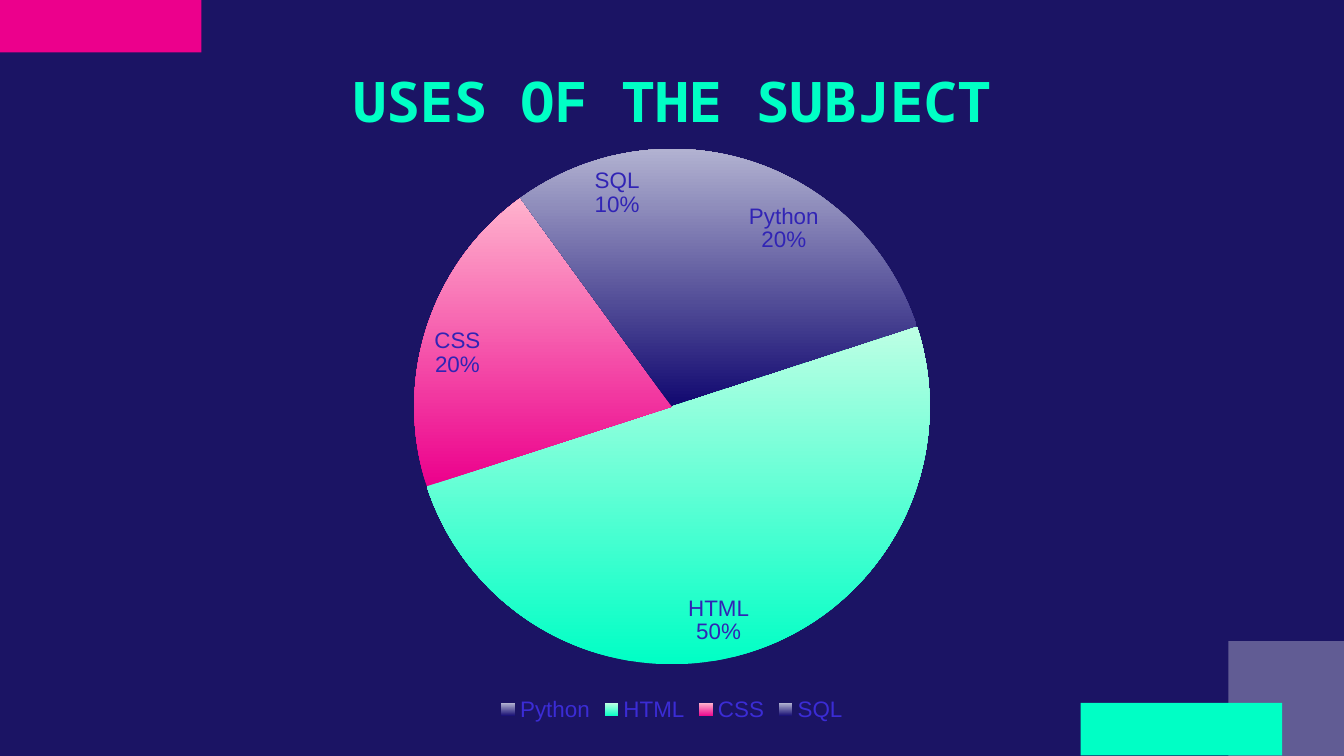
from dataclasses import dataclass

from lxml.etree import SubElement
from pptx import Presentation
from pptx.chart.data import CategoryChartData
from pptx.dml.color import RGBColor
from pptx.enum.chart import XL_CHART_TYPE, XL_LABEL_POSITION, XL_LEGEND_POSITION
from pptx.enum.shapes import MSO_SHAPE
from pptx.enum.text import MSO_ANCHOR, PP_ALIGN
from pptx.oxml.ns import qn
from pptx.util import Inches, Pt


@dataclass(frozen=True)
class Theme:
    background: str = "1B1464"
    pink: str = "EC008C"
    mint: str = "00FFC5"
    white: str = "FFFFFF"
    navy: str = "110870"
    pale_navy: str = "B2B2D1"
    pale_mint: str = "BDFFE4"
    pale_pink: str = "FFB3CD"
    label: str = "3124B5"
    legend: str = "3B2CD5"
    title_font: str = "Noto Sans Mono"
    chart_font: str = "Arial"
    title_size: int = 30
    chart_size: int = 10
    label_size: int = 12


def set_attributes(target, values):
    for name, value in values.items():
        setattr(target, name, value)


def style_font(font, name, size, color, bold=False):
    set_attributes(font, {"name": name, "size": Pt(size), "bold": bold})
    font.color.rgb = RGBColor.from_string(color)


class SlideBuilder:
    def __init__(self, slide, theme):
        self.slide = slide
        self.theme = theme

    def background(self):
        fill = self.slide.background.fill
        fill.solid()
        fill.fore_color.rgb = RGBColor.from_string(self.theme.background)

    def block(self, box, color, opacity=100):
        shape = self.slide.shapes.add_shape(MSO_SHAPE.RECTANGLE, *map(Inches, box))
        shape.shadow.inherit = False
        shape.line.fill.background()
        shape.fill.solid()
        shape.fill.fore_color.rgb = RGBColor.from_string(color)
        if opacity < 100:
            color_element = next(shape.element.spPr.iter(qn("a:srgbClr")))
            SubElement(color_element, qn("a:alpha"), val=str(opacity * 1000))

    def title(self, box, text):
        frame = self.slide.shapes.add_textbox(*map(Inches, box)).text_frame
        set_attributes(frame, {"word_wrap": True, "vertical_anchor": MSO_ANCHOR.MIDDLE,
                               "margin_left": Inches(0.1), "margin_right": Inches(0.1),
                               "margin_top": Inches(0.07), "margin_bottom": Inches(0.07)})
        paragraph = frame.paragraphs[0]
        paragraph.alignment = PP_ALIGN.CENTER
        run = paragraph.add_run()
        run.text = text
        style_font(run.font, self.theme.title_font, self.theme.title_size,
                   self.theme.mint, True)

    def pie(self, box, slices):
        theme = self.theme
        data = CategoryChartData()
        data.categories = [name for name, *_ in slices]
        data.add_series("Series 1", [value for _, value, *_ in slices])
        chart = self.slide.shapes.add_chart(
            XL_CHART_TYPE.PIE, *map(Inches, box), data).chart
        set_attributes(chart, {"has_title": False, "has_legend": True})
        style_font(chart.font, theme.chart_font, theme.chart_size, theme.background)
        set_attributes(chart.legend, {"position": XL_LEGEND_POSITION.BOTTOM,
                                      "include_in_layout": False})
        style_font(chart.legend.font, theme.chart_font, theme.label_size, theme.legend)
        plot = chart.plots[0]
        plot.vary_by_categories = True
        series = plot.series[0]
        for index, (_, _, *colors) in enumerate(slices):
            point_format = series.points[index].format
            point_format.line.fill.background()
            fill = point_format.fill
            fill.gradient()
            fill.gradient_angle = 90
            for stop, color in zip(fill.gradient_stops, colors):
                stop.color.rgb = RGBColor.from_string(color)
        self.pie_labels(series.data_labels)

    def pie_labels(self, labels):
        set_attributes(labels, {"show_percentage": True, "show_category_name": True,
                                "show_value": False, "show_legend_key": False,
                                "number_format": "0%", "number_format_is_linked": False,
                                "position": XL_LABEL_POSITION.INSIDE_END})
        style_font(labels.font, self.theme.chart_font, self.theme.label_size,
                   self.theme.label)
        element = labels._element
        separator = SubElement(element, qn("c:separator"))
        separator.text = "\n"
        element.find(qn("c:showBubbleSize")).addnext(separator)


theme = Theme()
presentation = Presentation()
slide_width = Inches(10)
set_attributes(presentation, {"slide_width": slide_width,
                              "slide_height": slide_width * 9 // 16})
builder = SlideBuilder(
    presentation.slides.add_slide(presentation.slide_layouts[6]), theme)

builder.background()
builder.block((0, 0, 1.5, 0.39), theme.pink)
builder.block((9.14, 4.77, 0.86, 0.86), theme.white, 31)
builder.block((8.04, 5.23, 1.5, 0.39), theme.mint)
builder.title((1.4, 0.38, 7.2, 0.73), "USES OF THE SUBJECT")
chart_width = 6.67
builder.pie(((10 - chart_width) / 2, 0.97, chart_width, 4.44), [
    ("Python", 20, theme.navy, theme.pale_navy),
    ("HTML", 50, theme.mint, theme.pale_mint),
    ("CSS", 20, theme.pink, theme.pale_pink),
    ("SQL", 10, theme.navy, theme.pale_navy),
])
presentation.save("out.pptx")
